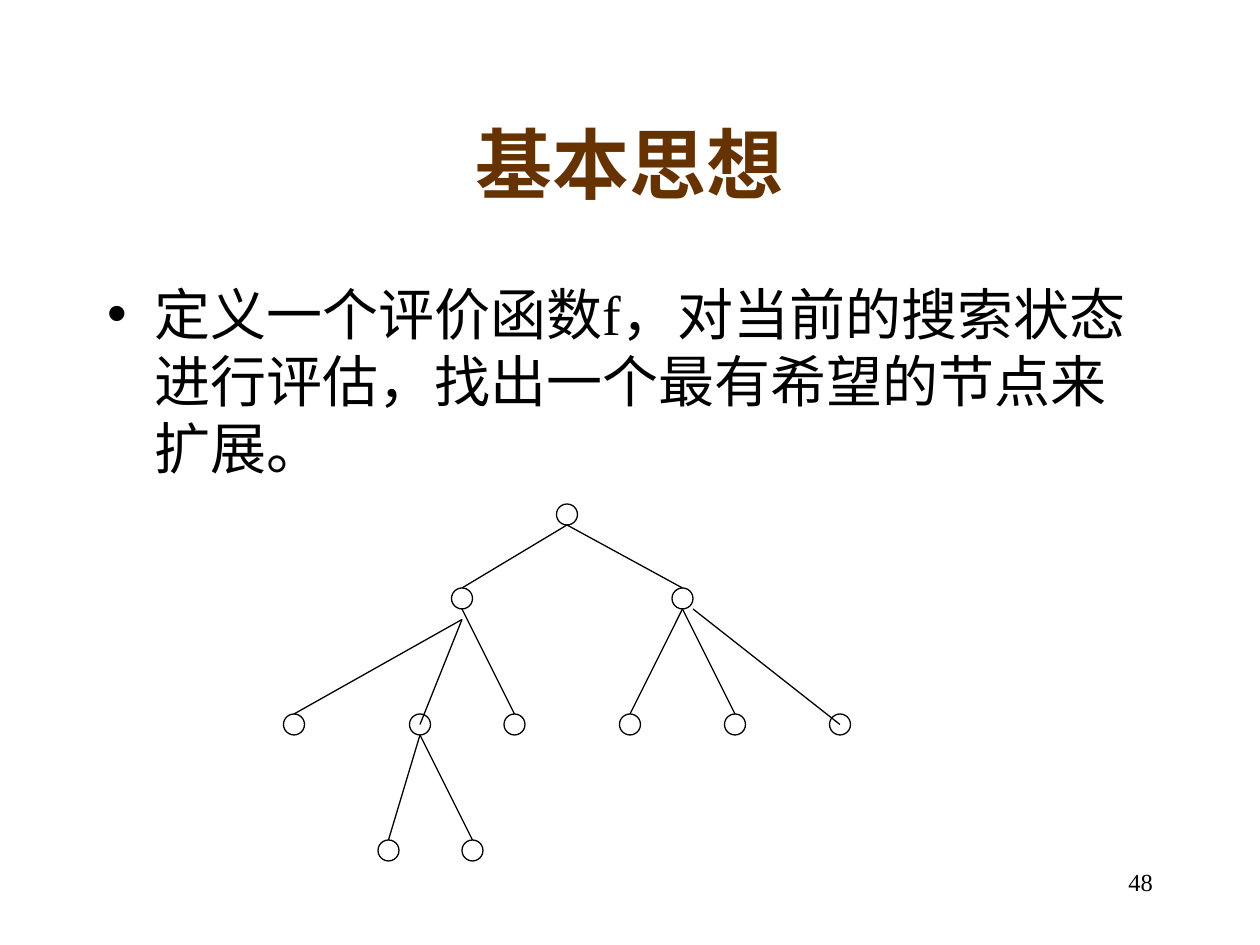
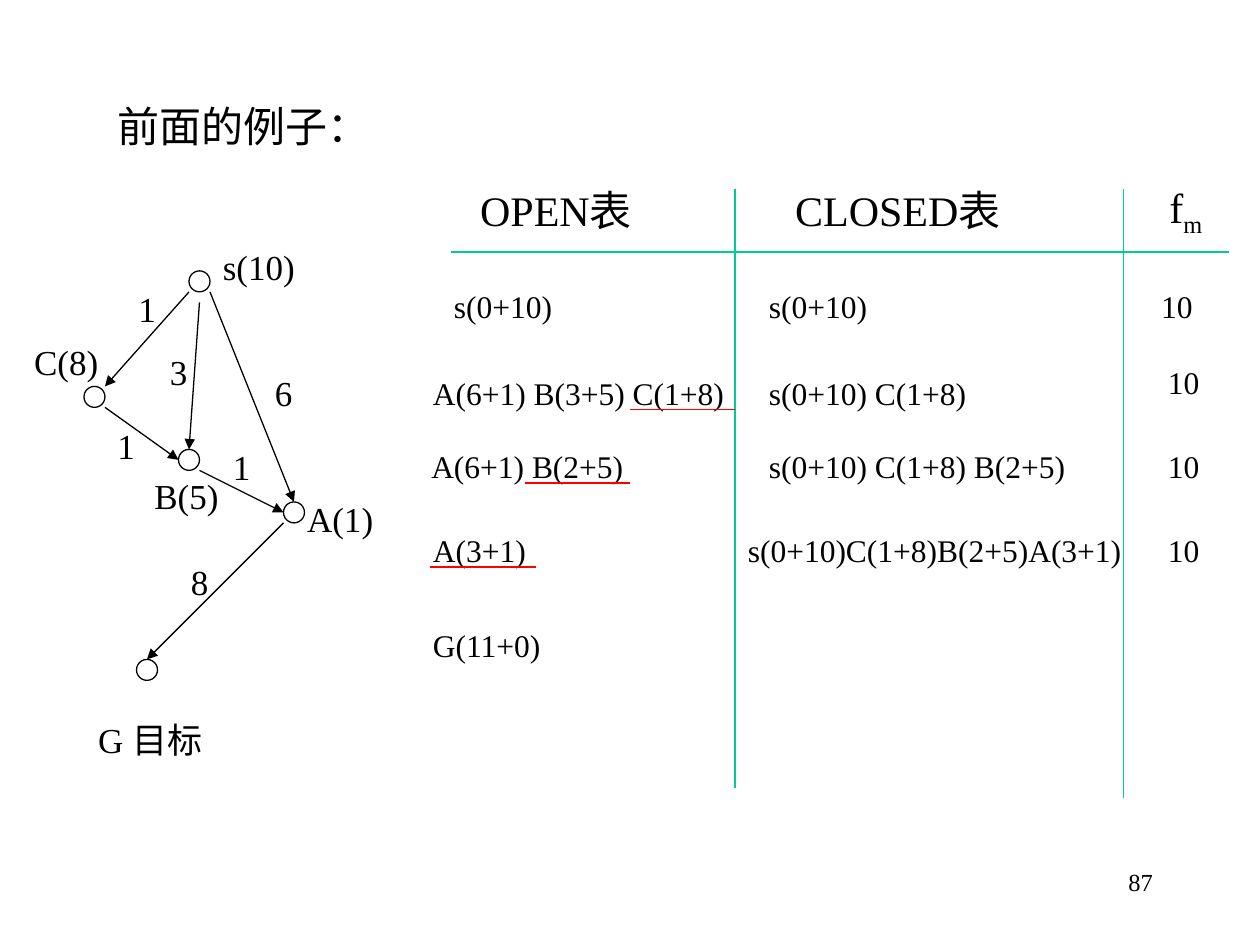
from lxml import etree
from pptx import Presentation
from pptx.dml.color import RGBColor
from pptx.enum.shapes import MSO_CONNECTOR, MSO_SHAPE
from pptx.enum.text import MSO_ANCHOR, MSO_AUTO_SIZE, PP_ALIGN
from pptx.oxml.ns import qn
from pptx.util import Cm, Pt

LEFT, CENTER, RIGHT = PP_ALIGN.LEFT, PP_ALIGN.CENTER, PP_ALIGN.RIGHT
TOP, MIDDLE = MSO_ANCHOR.TOP, MSO_ANCHOR.MIDDLE
FIXED = MSO_AUTO_SIZE.NONE
ELLIPSE = MSO_SHAPE.OVAL
STRAIGHT = MSO_CONNECTOR.STRAIGHT

COLORS = {"text": "000000", "title": "663300", "node": "FFFFFF",
          "rule": "00CC99", "mark": "FF0000"}
FONT = "Times New Roman"
GRID = 2.54 / 12


def grid(n):
    return Cm(n * GRID)


def color(name):
    return RGBColor.from_string(COLORS[name])


class Deck:
    def __init__(self):
        self.prs = Presentation()
        self.prs.slide_width, self.prs.slide_height = Cm(25.4), Cm(19.05)
        self.s = None

    def slide(self, layout, number):
        self.s = self.prs.slides.add_slide(self.prs.slide_layouts[layout])
        self.text(number, 86, 82, 25, 6, size=14, align=RIGHT, anchor=TOP)

    def fill_text(self, tf, text, size, name, align, bold=False, sub=""):
        tf.auto_size = FIXED
        p = tf.paragraphs[0]
        p.alignment = align
        p.space_before = Pt(0)
        for part in filter(None, (text, sub)):
            r = p.add_run()
            r.text = part
            r.font.name, r.font.size, r.font.bold = FONT, Pt(size), bold
            r.font.color.rgb = color(name)
        if sub:
            r._r.get_or_add_rPr().set("baseline", "-25000")

    def placeholder(self, sp, text, box, size, name="text", align=LEFT,
                    bold=False, anchor=MIDDLE):
        sp.left, sp.top, sp.width, sp.height = map(grid, box)
        sp.text_frame.vertical_anchor = anchor
        self.fill_text(sp.text_frame, text, size, name, align, bold)

    def title(self, text, box, size=44, **style):
        self.placeholder(self.s.shapes.title, text, box, size, **style)

    def body(self, text, box):
        self.placeholder(self.s.placeholders[1], text, box, 32, anchor=TOP)

    def text(self, text, x, y, w, h, size=18, align=LEFT, anchor=MIDDLE, sub=""):
        sp = self.s.shapes.add_textbox(*map(grid, (x, y, w, h)))
        tf = sp.text_frame
        tf.word_wrap = False
        tf.vertical_anchor = anchor
        self.fill_text(tf, text, size, "text", align, sub=sub)

    def node(self, x, y, filled=True):
        sp = self.s.shapes.add_shape(ELLIPSE, *map(grid, (x - 1, y - 1, 2, 2)))
        sp.shadow.inherit = False
        if filled:
            sp.fill.solid()
            sp.fill.fore_color.rgb = color("node")
        else:
            sp.fill.background()
        sp.line.color.rgb = color("text")
        sp.line.width = Pt(0.75)

    def line(self, x1, y1, x2, y2, name="text", arrow=False):
        c = self.s.shapes.add_connector(STRAIGHT, *map(grid, (x1, y1, x2, y2)))
        c.line.color.rgb = color(name)
        c.line.width = Pt(0.75)
        ln = c.line._get_or_add_ln()
        etree.SubElement(ln, qn("a:miter"), lim="800000")
        if arrow:
            etree.SubElement(ln, qn("a:tailEnd"), type="triangle")
        etree.SubElement(c._element.spPr, qn("a:effectLst"))

    def edge(self, start, end, leave=(0, 1), arrive=(0, -1), arrow=False):
        self.line(start[0] + leave[0], start[1] + leave[1],
                  end[0] + arrive[0], end[1] + arrive[1], arrow=arrow)


def basic_idea(d):
    d.slide(1, "48")
    d.title("基本思想", (9, 8, 102, 15), name="title", align=CENTER, bold=True)
    d.body("定义一个评价函数f，对当前的搜索状态进行评估，找出一个最有希望的节点来扩展。",
           (9, 26, 102.6, 54))
    root, left, right = (54, 49), (44, 57), (65, 57)
    leaves = [(x, 69) for x in (28, 40, 49, 60, 70, 80)]
    expanded = leaves[1]
    grandchildren = [(37, 81), (45, 81)]
    for n in [root, left, right, *leaves, *grandchildren]:
        d.node(*n, filled=n in (root, left, right, expanded))
    for parent, children in ((root, (left, right)), (left, leaves[2:3]),
                             (right, leaves[3:5]), (expanded, grandchildren)):
        for child in children:
            d.edge(parent, child)
    d.edge(left, leaves[0], leave=(0, 2))
    d.edge(left, expanded, leave=(0, 2), arrive=(0, 0))
    d.edge(right, leaves[5], leave=(1, 1), arrive=(0, 0))


def search_graph(d):
    nodes = {"s": (19, 26.8), "C": (9, 37.8), "B": (18, 43.8),
             "A": (28, 48.8), "G": (14, 63.8)}
    edges = [
        ("s", "C", (-1, 1), (1, -1), "1", 12, 26.7),
        ("s", "B", (0, 2), (0, -1), "3", 15, 32.7),
        ("s", "A", (1, 1), (0, -1), "6", 25, 34.7),
        ("A", "G", (-1, 1), (0, -1), "8", 17, 52.7),
        ("C", "B", (1, 1), (-1, 0), "1", 10, 39.75),
        ("B", "A", (1, 1), (-1, 0), "1", 21, 41.75),
    ]
    labels = [("s(10)", 20.05, 22.7, 9.2), ("A(1)", 28.1, 46.7, 8.6),
              ("B(5)", 13.5, 44.5, 8.5), ("C(8)", 2.05, 31.8, 8.5),
              ("G 目标", 7.75, 67.8, 13.1)]
    for n in nodes.values():
        d.node(*n)
    for a, b, leave, arrive, cost, x, y in edges:
        d.edge(nodes[a], nodes[b], leave, arrive, arrow=True)
        d.text(cost, x, y, 4.1, 5.3, size=20)
    for text, x, y, w in labels:
        d.text(text, x, y, w, 5.3, size=20, align=CENTER)


def search_table(d):
    for rule in ((43, 24, 117, 24), (70, 18, 70, 75), (107, 18, 107, 76)):
        d.line(*rule, name="rule")
    for text, sub, x, w in (("OPEN表", "", 44.55, 17.8), ("CLOSED表", "", 74.55, 22.9),
                            ("f", "m", 110.2, 5.5)):
        d.text(text, x, 17, w, 6, size=24, sub=sub)
    cells = [
        ("s(0+10)", 42.05, 26.7, 11.8),
        ("s(0+10)", 72.05, 26.7, 11.8),
        ("10", 109.4, 26.7, 5.4),
        ("A(6+1) B(3+5) C(1+8)", 40.05, 35, 30.1),
        ("s(0+10) C(1+8)", 72.05, 35, 21.1),
        ("10", 110.05, 34, 5.4),
        ("A(6+1) B(2+5)", 39.9, 42, 20.6),
        ("s(0+10) C(1+8) B(2+5)", 72.05, 42, 30.6),
        ("10", 110.05, 42, 5.4),
        ("A(3+1)", 40.05, 50, 12),
        ("s(0+10)C(1+8)B(2+5)A(3+1)", 70.05, 50, 37.9),
        ("10", 110.05, 50, 5.4),
        ("G(11+0)", 40.05, 59, 13.4),
    ]
    for text, x, y, w in cells:
        d.text(text, x, y, w, 4.8)
    for x, y in ((60, 39), (50, 46), (41, 54)):
        d.line(x, y, x + 10, y, name="mark")


def earlier_example(d):
    d.slide(5, "87")
    d.title("前面的例子：", (10, 9, 26.4, 6), size=24)
    search_graph(d)
    search_table(d)


def main():
    d = Deck()
    basic_idea(d)
    earlier_example(d)
    d.prs.save("out.pptx")


if __name__ == "__main__":
    main()
